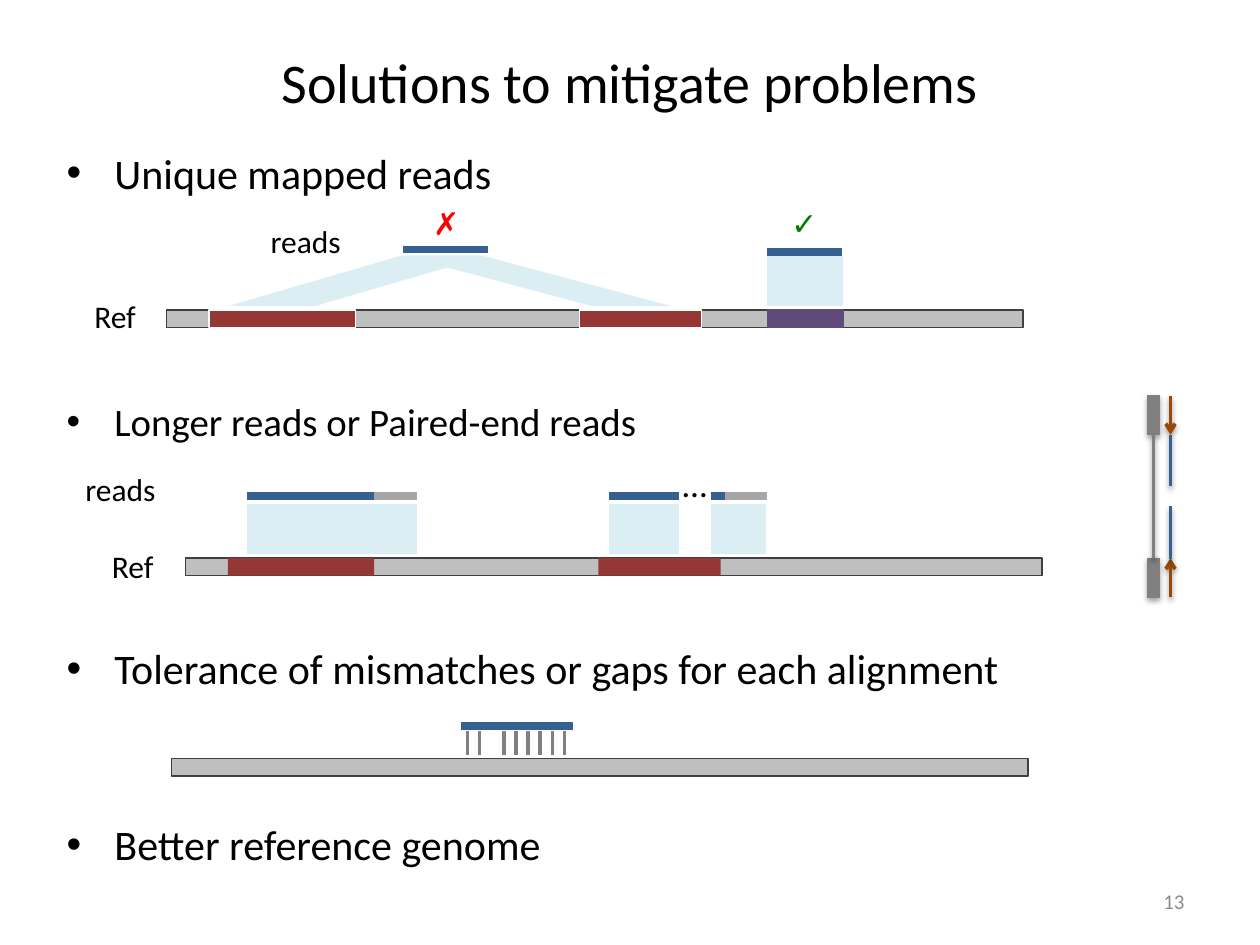
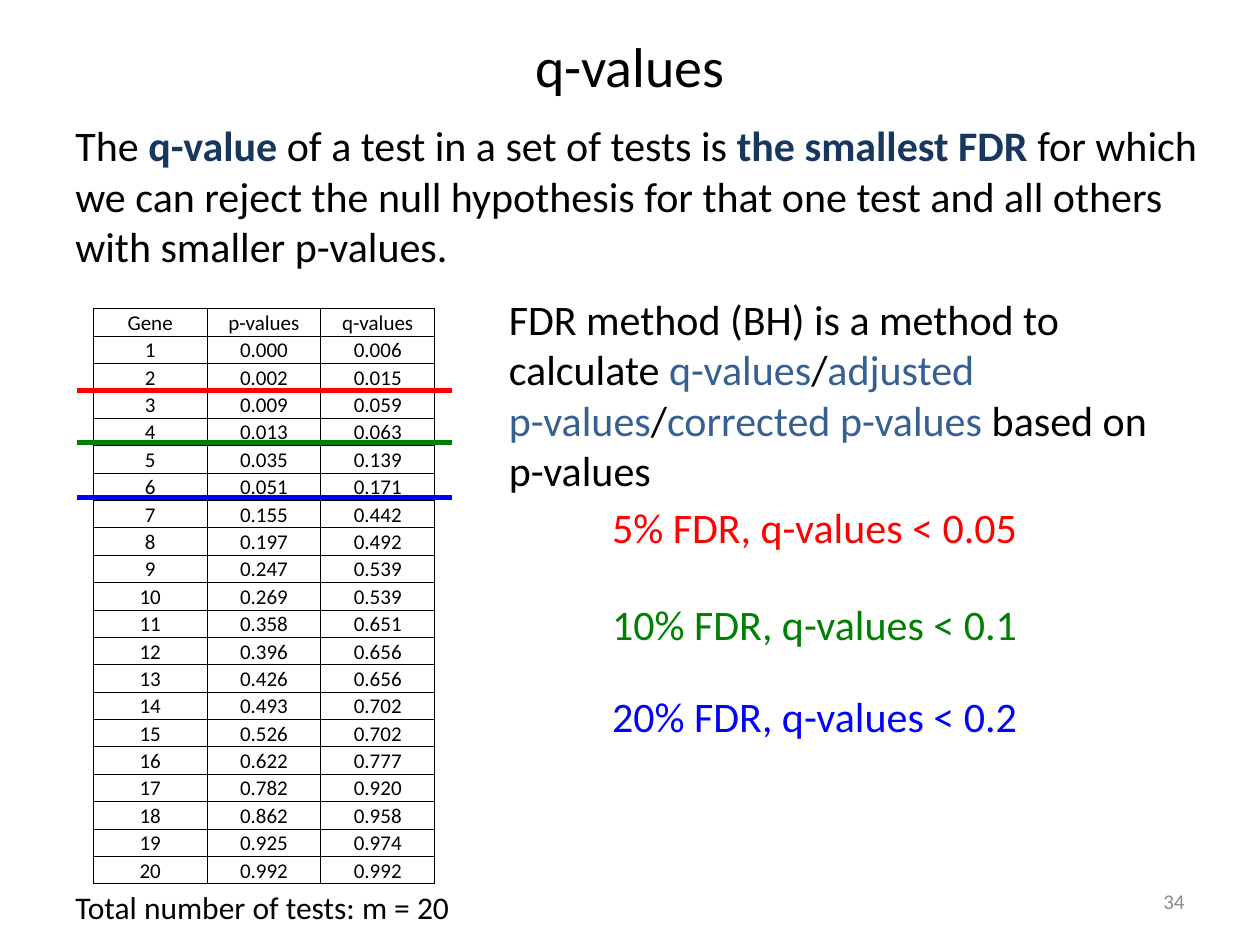
from typing import NamedTuple

from lxml import etree
from pptx import Presentation
from pptx.dml.color import RGBColor
from pptx.enum.shapes import MSO_CONNECTOR, MSO_SHAPE
from pptx.enum.text import MSO_ANCHOR, MSO_AUTO_SIZE, PP_ALIGN
from pptx.oxml.ns import qn
from pptx.shapes.autoshape import Shape
from pptx.shapes.connector import Connector
from pptx.shapes.shapetree import GroupShapes, SlideShapes
from pptx.slide import Slide
from pptx.text.text import TextFrame
from pptx.util import Inches, Pt

RECT, SLANT = MSO_SHAPE.RECTANGLE, MSO_SHAPE.PARALLELOGRAM
STRAIGHT = MSO_CONNECTOR.STRAIGHT
LEFT, CENTER, RIGHT = PP_ALIGN.LEFT, PP_ALIGN.CENTER, PP_ALIGN.RIGHT
TOP, MIDDLE, BOTTOM = MSO_ANCHOR.TOP, MSO_ANCHOR.MIDDLE, MSO_ANCHOR.BOTTOM
GROW, FIXED = MSO_AUTO_SIZE.SHAPE_TO_FIT_TEXT, MSO_AUTO_SIZE.NONE

BLACK = RGBColor(0x00, 0x00, 0x00)
WHITE = RGBColor(0xFF, 0xFF, 0xFF)
RED = RGBColor(0xFF, 0x00, 0x00)
GREEN = RGBColor(0x00, 0x80, 0x00)
PURE_BLUE = RGBColor(0x00, 0x00, 0xFF)
BLUE = RGBColor(0x37, 0x60, 0x92)
NAVY = RGBColor(0x17, 0x37, 0x5E)
PALE = RGBColor(0xDB, 0xEE, 0xF4)
BRICK = RGBColor(0x95, 0x37, 0x35)
PURPLE = RGBColor(0x60, 0x4A, 0x7B)
BROWN = RGBColor(0x98, 0x48, 0x07)
CHARCOAL = RGBColor(0x40, 0x40, 0x40)
GRAY = RGBColor(0x80, 0x80, 0x80)
FOOT_GRAY = RGBColor(0x8C, 0x8C, 0x8C)
END_GRAY = RGBColor(0xA6, 0xA6, 0xA6)
REF_GRAY = RGBColor(0xBF, 0xBF, 0xBF)

FONT, SIGN_FONT = "Calibri", "Arial"
READ_WIDTH, TICK_WIDTH = 4.5, 2
BAR_HIGH, LINK_HIGH = 0.14, 0.4

Shapes = SlideShapes | GroupShapes


class Box(NamedTuple):
    x: float
    y: float
    w: float
    h: float


class Run(NamedTuple):
    text: str
    color: RGBColor = BLACK
    bold: bool = False


class Bullet(NamedTuple):
    text: str
    box: Box
    size: float = 24


class Link(NamedTuple):
    """Pale band from a read to the reference; lean is the slant."""
    box: Box
    lean: float = 0
    flip: bool = False


class Read(NamedTuple):
    start: float
    end: float
    y: float
    color: RGBColor = BLUE


class Cutoff(NamedTuple):
    text: str
    color: RGBColor
    line_y: float
    box: Box


BULLETS = [
    Bullet("Unique mapped reads", Box(0.43, 1.12, 4.96, 0.5)),
    Bullet("Longer reads or Paired-end reads", Box(0.43, 3.11, 4.96, 0.5), 22.2),
    Bullet("Tolerance of mismatches or gaps for each alignment",
           Box(0.43, 5.05, 7.69, 0.62)),
    Bullet("Better reference genome", Box(0.43, 6.45, 7.69, 0.62)),
]
UNIQUE_READS = [Read(6.09, 6.68, 2), Read(3.2, 3.87, 1.98)]
UNIQUE_LINKS = [
    Link(Box(1.81, 2.03, 2.06, LINK_HIGH), 3.43),
    Link(Box(3.2, 2.03, 2.13, LINK_HIGH), 3.75, True),
    Link(Box(6.09, 2.03, 0.6, LINK_HIGH)),
]
LONG_READS = [
    Read(1.96, 2.97, 3.94), Read(2.97, 3.31, 3.94, END_GRAY),
    Read(4.83, 5.39, 3.94), Read(5.64, 5.75, 3.94),
    Read(5.75, 6.09, 3.94, END_GRAY),
]
LONG_LINKS = [Link(Box(x, 4, w, LINK_HIGH))
              for x, w in ((1.96, 1.35), (4.83, 0.56), (5.64, 0.44))]
CUTOFFS = [
    Cutoff("10% FDR, q-values < 0.1", GREEN, 3.51, Box(4.76, 4.62, 3.56, 0.57)),
    Cutoff("5% FDR, q-values < 0.05", RED, 3.1, Box(4.76, 3.85, 3.6, 0.57)),
    Cutoff("20% FDR, q-values < 0.2", PURE_BLUE, 3.95, Box(4.76, 5.35, 3.47, 0.57)),
]
P_VALUES = [0.000, 0.002, 0.009, 0.013, 0.035, 0.051, 0.155, 0.197, 0.247, 0.269,
            0.358, 0.396, 0.426, 0.493, 0.526, 0.622, 0.782, 0.862, 0.925, 0.992]
Q_VALUES = [0.006, 0.015, 0.059, 0.063, 0.139, 0.171, 0.442, 0.492, 0.539, 0.539,
            0.651, 0.656, 0.656, 0.702, 0.702, 0.777, 0.920, 0.958, 0.974, 0.992]


def place(box: Box) -> list[int]:
    return [Inches(side) for side in box]


def shade(item: Shape | Connector, cast: bool) -> None:
    """Replace the theme shadow by a soft one below, or by none."""
    effects = etree.SubElement(item._element.spPr, qn("a:effectLst"))
    if cast:
        drop = etree.SubElement(effects, qn("a:outerShdw"), blurRad="40000",
                                dist="21500", dir="5400000", rotWithShape="0")
        color = etree.SubElement(drop, qn("a:srgbClr"), val=str(BLACK))
        etree.SubElement(color, qn("a:alpha"), val="36000")


def write(frame: TextFrame, runs: str | list[Run], *, size: float = 18,
          color: RGBColor = BLACK, font: str = FONT, align: PP_ALIGN = LEFT,
          bullet: bool = False, spacing: float | None = None) -> None:
    para = frame.paragraphs[0]
    para.alignment = align
    if spacing:
        para.line_spacing = spacing
    if bullet:
        props = para._p.get_or_add_pPr()
        props.set("marL", str(Inches(0.38)))
        props.set("indent", str(-Inches(0.38)))
        etree.SubElement(props, qn("a:buFont"), typeface="Arial")
        etree.SubElement(props, qn("a:buChar"), char="•")
    for part in [Run(runs, color)] if isinstance(runs, str) else runs:
        run = para.add_run()
        run.text = part.text
        run.font.name, run.font.size = font, Pt(size)
        run.font.bold = part.bold
        run.font.color.rgb = part.color


def add_text(shapes: Shapes, box: Box, runs: str | list[Run], *,
             anchor: MSO_ANCHOR = TOP, wrap: bool = True, grow: bool = False,
             **style) -> None:
    frame = shapes.add_textbox(*place(box)).text_frame
    frame.word_wrap = wrap
    frame.auto_size = GROW if grow else FIXED
    frame.vertical_anchor = anchor
    write(frame, runs, **style)


def add_label(shapes: Shapes, box: Box, text: str, **style) -> None:
    add_text(shapes, box, text, wrap=False, grow=True, **style)


def add_bar(shapes: Shapes, box: Box, fill: RGBColor, edge: RGBColor | None = None,
            kind: MSO_SHAPE = RECT, cast: bool = False) -> Shape:
    bar = shapes.add_shape(kind, *place(box))
    bar.fill.solid()
    bar.fill.fore_color.rgb = fill
    if edge is None:
        bar.line.fill.background()
    else:
        bar.line.color.rgb = edge
        bar.line.width = Pt(0.75)
    shade(bar, cast)
    return bar


def add_line(shapes: Shapes, x1: float, y1: float, x2: float, y2: float,
             color: RGBColor, width: float, arrow: bool = False,
             cast: bool = False) -> Connector:
    line = shapes.add_connector(STRAIGHT, Inches(x1), Inches(y1),
                                Inches(x2), Inches(y2))
    line.line.color.rgb = color
    line.line.width = Pt(width)
    if arrow:
        etree.SubElement(line.line._get_or_add_ln(), qn("a:tailEnd"), type="arrow")
    shade(line, cast)
    return line


def add_link(shapes: Shapes, link: Link) -> None:
    band = add_bar(shapes, link.box, PALE, kind=SLANT)
    band.adjustments[0] = link.lean
    if link.flip:
        band._element.spPr.xfrm.set("flipH", "1")


def add_ref(shapes: Shapes, x: float, y: float) -> None:
    add_bar(shapes, Box(x, y, 6.8, BAR_HIGH), REF_GRAY, CHARCOAL)


def add_track(shapes: Shapes, x: float, y: float, edge: RGBColor | None,
              reads: list[Read], links: list[Link]) -> None:
    """Reference with two repeats, and the reads mapped to it."""
    add_ref(shapes, x, y)
    for shift, wide in ((0.34, 1.16), (3.28, 0.97)):
        add_bar(shapes, Box(x + shift, y, wide, BAR_HIGH), BRICK, edge)
    for read in reads:
        add_line(shapes, read.start, read.y, read.end, read.y, read.color, READ_WIDTH)
    for link in links:
        add_link(shapes, link)


def add_pair(shapes: Shapes) -> None:
    """Upright paired-end fragment with its two reads."""
    ends = [add_bar(shapes, Box(9.11, y, 0.09, 0.31), GRAY, GRAY, cast=True)
            for y in (3.14, 4.43)]
    insert = add_line(shapes, 9.16, 3.45, 9.16, 4.43, GRAY, TICK_WIDTH, cast=True)
    insert.begin_connect(ends[0], 2)
    insert.end_connect(ends[1], 0)
    for start, end, color in ((3.14, 3.45, BROWN), (3.45, 3.86, BLUE),
                              (4.74, 4.43, BROWN), (4.02, 4.44, BLUE)):
        add_line(shapes, 9.29, start, 9.29, end, color, TICK_WIDTH,
                 arrow=color == BROWN, cast=True)


def add_grid(shapes: Shapes, box: Box, rows: list[tuple[str, ...]]) -> None:
    table = shapes.add_table(len(rows), len(rows[0]), *place(box)).table
    table.first_row = table.horz_banding = False
    for r, row in enumerate(rows):
        for c, value in enumerate(row):
            cell = table.cell(r, c)
            cell.margin_left = cell.margin_right = cell.margin_top = Inches(0.01)
            cell.margin_bottom = 0
            cell.vertical_anchor = BOTTOM
            props = cell._tc.get_or_add_tcPr()
            for side in "LRTB":
                edge = etree.SubElement(props, qn(f"a:ln{side}"), w=str(Pt(0.5)))
                fill = etree.SubElement(edge, qn("a:solidFill"))
                etree.SubElement(fill, qn("a:srgbClr"), val=str(BLACK))
            cell.fill.background()
            write(cell.text_frame, value, size=12, align=CENTER)


def add_slide(deck: Presentation, title: str, box: Box, number: int) -> Slide:
    slide = deck.slides.add_slide(deck.slide_layouts[6])
    add_text(slide.shapes, box, title, size=32, align=CENTER, anchor=MIDDLE)
    add_text(slide.shapes, Box(7.17, 6.95, 2.33, 0.4), str(number), size=12,
             color=FOOT_GRAY, align=RIGHT, anchor=MIDDLE)
    return slide


def build_fixes(deck: Presentation) -> None:
    shapes = add_slide(deck, "Solutions to mitigate problems",
                       Box(0.5, 0.3, 9, 0.69), 13).shapes
    for item in BULLETS:
        add_text(shapes, item.box, item.text, size=item.size, bullet=True)

    add_track(shapes, 1.32, 2.46, WHITE, UNIQUE_READS, UNIQUE_LINKS)
    add_bar(shapes, Box(6.09, 2.46, 0.6, BAR_HIGH), PURPLE, PURPLE)
    add_label(shapes, Box(2.05, 1.71, 0.77, 0.4), "reads")
    add_label(shapes, Box(0.65, 2.31, 0.55, 0.4), "Ref")
    add_label(shapes, Box(6.18, 1.57, 0.4, 0.4), "✓", color=GREEN, font=SIGN_FONT)
    add_label(shapes, Box(3.34, 1.57, 0.37, 0.4), "✗", color=RED, font=SIGN_FONT)

    group = shapes.add_group_shape().shapes
    add_track(group, 1.47, 4.43, None, LONG_READS, LONG_LINKS)
    add_label(group, Box(0.58, 3.68, 0.77, 0.4), "reads")
    add_label(group, Box(0.79, 4.29, 0.55, 0.4), "Ref")
    add_label(group, Box(5.32, 3.62, 0.4, 0.44), "…", size=20)

    first, last, gap, steps = 3.71, 4.48, 2, 8
    for i in range(steps + 1):
        if i != gap:
            x = first + i * (last - first) / steps
            add_line(shapes, x, 5.8, x, 5.99, GRAY, TICK_WIDTH)
    add_line(shapes, 3.66, 5.76, 4.55, 5.76, BLUE, READ_WIDTH)
    add_ref(shapes, 1.36, 6.02)
    add_pair(shapes.add_group_shape().shapes)


def build_values(deck: Presentation) -> None:
    shapes = add_slide(deck, "q-values", Box(0.5, 0.21, 9, 0.62), 34).shapes
    add_text(shapes, Box(0.5, 0.9, 9.17, 1.32), [
        Run("The "), Run("q-value ", NAVY, True),
        Run("of a test in a set of tests is "), Run("the smallest FDR ", NAVY, True),
        Run("for which we can reject the null hypothesis for that one test "
            "and all others with smaller p-values."),
    ], size=24)
    rows = [("Gene", "p-values", "q-values")]
    rows += [(str(gene), f"{p:.3f}", f"{q:.3f}")
             for gene, (p, q) in enumerate(zip(P_VALUES, Q_VALUES), 1)]
    add_grid(shapes, Box(0.74, 2.45, 2.71, 4.57), rows)
    add_label(shapes, Box(0.5, 7, 3.23, 0.4), "Total number of tests: m = 20")
    for cut in CUTOFFS:
        group = shapes.add_group_shape().shapes
        add_line(group, 0.61, cut.line_y, 3.59, cut.line_y, cut.color, 3)
        add_text(group, cut.box, cut.text, size=24, color=cut.color,
                 spacing=1.2, grow=True)
    add_text(shapes, Box(3.94, 2.28, 5.56, 1.31), [
        Run("FDR method (BH) is a method to calculate "), Run("q-values", BLUE),
        Run("/"), Run("adjusted p-values", BLUE), Run("/"),
        Run("corrected p-values", BLUE), Run(" based on p-values"),
    ], size=24, grow=True)


def main() -> None:
    deck = Presentation()
    deck.slide_width, deck.slide_height = Inches(10), Inches(7.5)
    build_fixes(deck)
    build_values(deck)
    deck.save("out.pptx")


if __name__ == "__main__":
    main()
